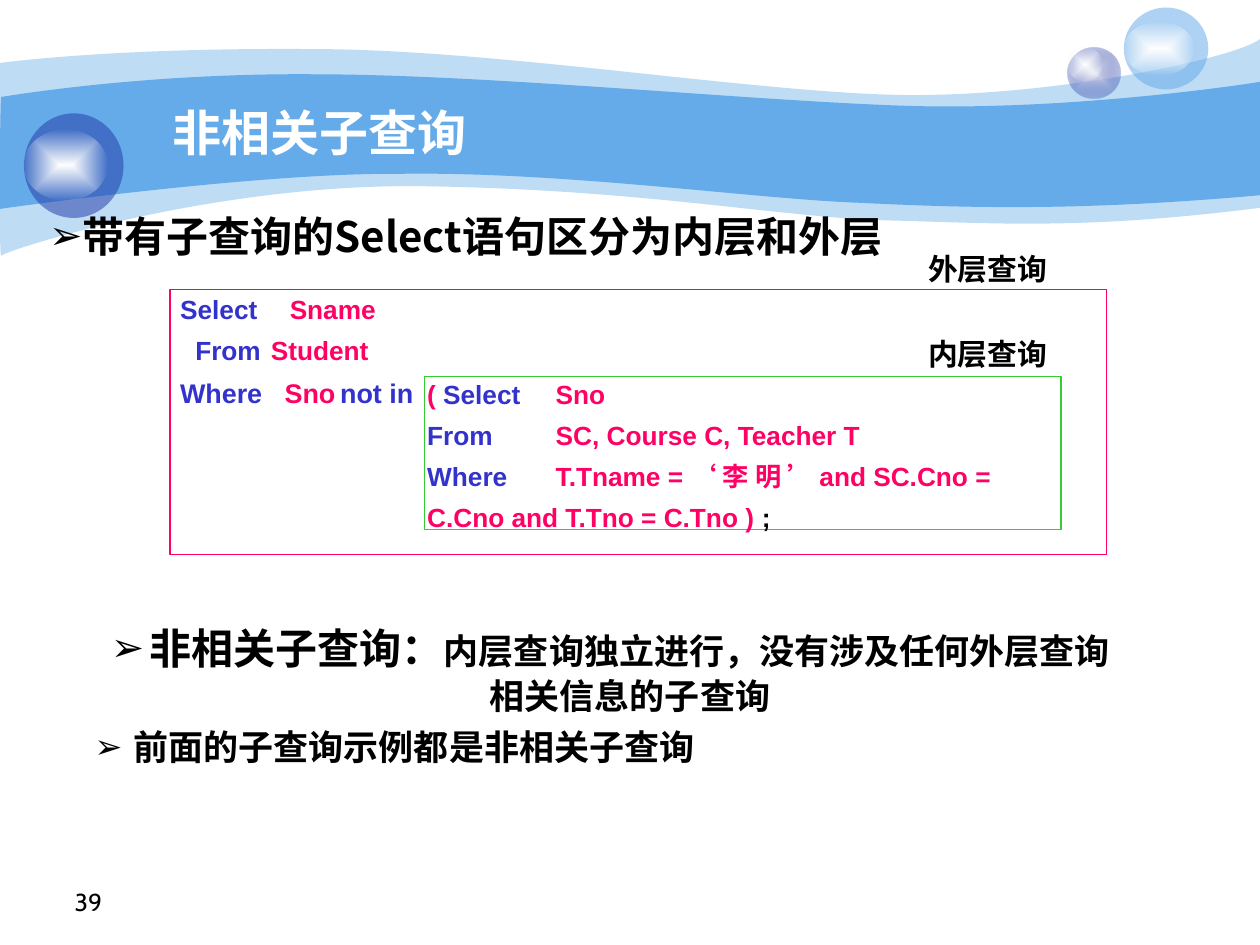
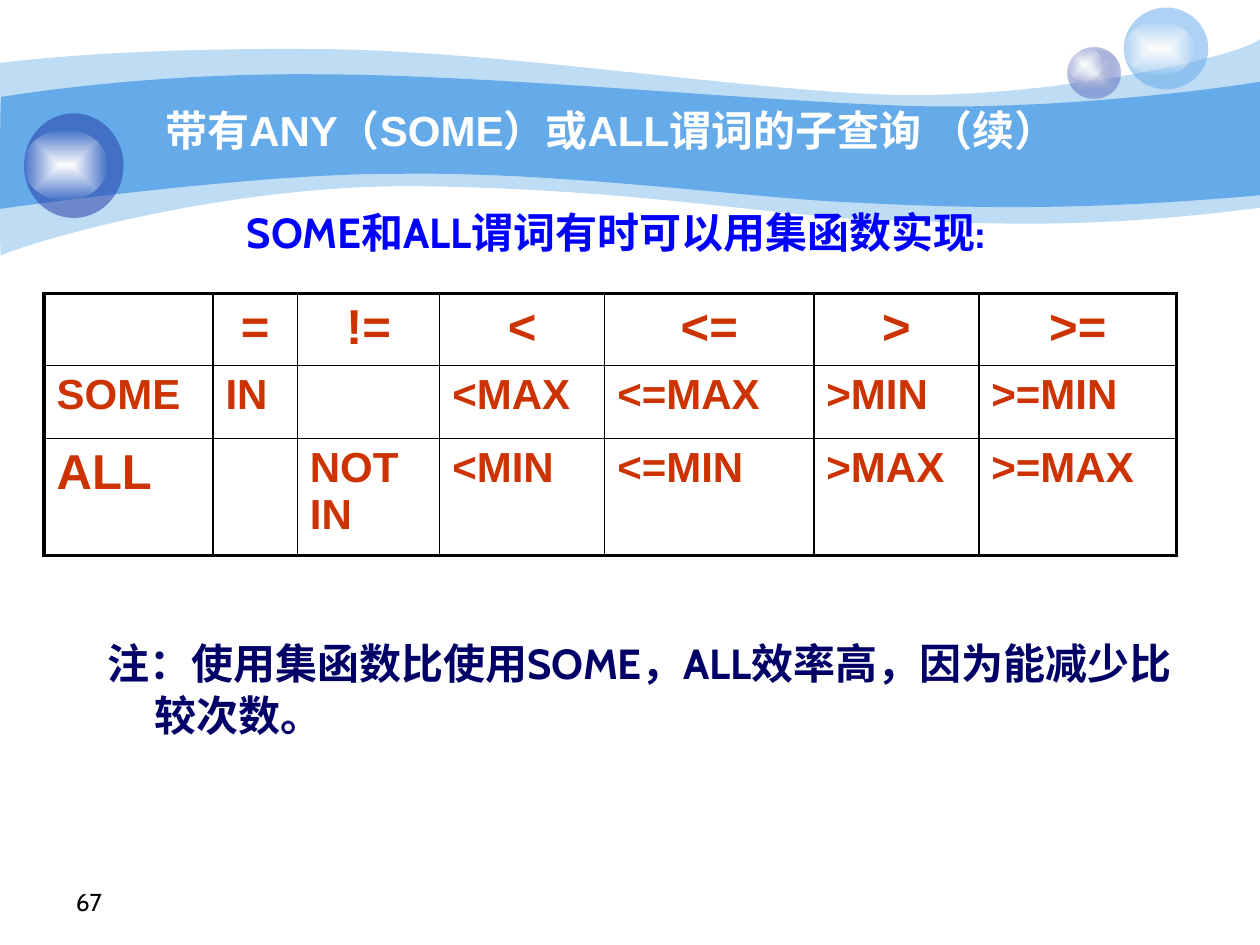
from lxml.etree import SubElement
from pptx import Presentation
from pptx.dml.color import RGBColor
from pptx.enum.shapes import MSO_SHAPE
from pptx.enum.text import MSO_ANCHOR, PP_ALIGN
from pptx.oxml.ns import qn
from pptx.util import Inches, Pt

BLACK = RGBColor(0x00, 0x00, 0x00)
WHITE = RGBColor(0xFF, 0xFF, 0xFF)
SKY = RGBColor(0x65, 0xAA, 0xE9)
INDIGO = RGBColor(0x23, 0x3D, 0xA9)
PALE = RGBColor(0xE1, 0xE2, 0xED)
KEYWORD = RGBColor(0x33, 0x33, 0xCC)
NAME = RGBColor(0xFF, 0x00, 0x65)
GREEN = RGBColor(0x33, 0xCC, 0x33)
BLUE = RGBColor(0x00, 0x00, 0xFF)
NAVY = RGBColor(0x00, 0x00, 0x66)
RUST = RGBColor(0xCC, 0x33, 0x00)

CHINESE = "Noto Sans CJK SC"
CODE = "Arial"
BODY = "Cabin"
LINE_PITCH = 1.23
CODE_PITCH = 23.4

WAVE_BACK = [[(0, 0.5)],
             [(0.24, 0.47), (1.07, 0.38), (2.47, 0.39)],
             [(3.86, 0.39), (5.75, 0.7), (6.99, 0.75)],
             [(8.22, 0.8), (9.8, 0.47), (10, 0.31)],
             [(10, 1.65)],
             [(8.58, 1.83), (7.87, 1.77), (7.05, 1.75)],
             [(6.22, 1.73), (5.15, 1.51), (3.43, 1.48)],
             [(1.72, 1.44), (0.04, 1.99), (0.01, 2.03)],
             [(-0.01, 2.08), (0, 0.75), (0, 0.5)]]
WAVE_FRONT = [[(0.01, 0.77)],
              [(0.02, 0.77), (1.1, 0.58), (2.48, 0.59)],
              [(3.86, 0.59), (5.95, 0.8), (7.18, 0.84)],
              [(8.41, 0.88), (9.76, 0.69), (10, 0.65)],
              [(10, 1.55)],
              [(8.53, 1.68), (7.65, 1.65), (6.82, 1.61)],
              [(5.99, 1.58), (4.47, 1.36), (3.17, 1.38)],
              [(2.03, 1.37), (-0.02, 1.66), (-0.01, 1.66)],
              [(0, 1.66), (0, 0.77), (0.01, 0.77)]]


def add_color(parent, color, opacity=100):
    """Append a colour with an opacity in percent."""
    element = SubElement(parent, qn("a:srgbClr"), val=str(color))
    SubElement(element, qn("a:alpha"), val=str(opacity * 1000))


def paint(shape, color, opacity=100):
    """Give a shape a plain fill without line or shadow."""
    shape.shadow.inherit = False
    shape.line.fill.background()
    shape.fill.solid()
    shape.fill.fore_color.rgb = color
    fill_color = shape._element.spPr.find(".//" + qn("a:srgbClr"))
    SubElement(fill_color, qn("a:alpha"), val=str(opacity * 1000))


def paint_glow(shape, inner, outer, outer_opacity):
    """Give a shape a gradient that spreads from its centre."""
    shape.shadow.inherit = False
    shape.line.fill.background()
    properties = shape._element.spPr
    gradient = SubElement(properties, qn("a:gradFill"), rotWithShape="1")
    properties.find(qn("a:prstGeom")).addnext(gradient)
    stops = SubElement(gradient, qn("a:gsLst"))
    for position, color, opacity in ((0, inner, 100), (100000, outer, outer_opacity)):
        add_color(SubElement(stops, qn("a:gs"), pos=str(position)), color, opacity)
    spread = SubElement(gradient, qn("a:path"), path="shape")
    SubElement(spread, qn("a:fillToRect"), l="50000", t="50000", r="50000", b="50000")


def add_wave(slide, segments, opacity):
    """Draw a closed outline; segments of three points are cubic curves."""
    start, *points = [(Inches(x), Inches(y)) for segment in segments for x, y in segment]
    builder = slide.shapes.build_freeform(*start)
    builder.add_line_segments(points, close=True)
    shape = builder.convert_to_shape()
    lines = iter(shape._element.spPr.findall(".//" + qn("a:lnTo")))
    for segment in segments[1:]:
        steps = [next(lines) for _ in segment]
        if len(steps) == 3:
            outline = steps[0].getparent()
            curve = SubElement(outline, qn("a:cubicBezTo"))
            steps[0].addprevious(curve)
            for step in steps:
                curve.append(step[0])
                outline.remove(step)
    paint(shape, SKY, opacity)


def add_shape(slide, kind, box):
    """Add a preset shape in a box of inches."""
    return slide.shapes.add_shape(kind, *(Inches(length) for length in box))


def add_bubble(slide, box, shine, color=None):
    """Draw a ball with a white shine inside its box."""
    ball = add_shape(slide, MSO_SHAPE.OVAL, box)
    if color is None:
        paint_glow(ball, PALE, INDIGO, 31)
    else:
        paint(ball, color, 53)
    left, top = box[:2]
    offset, width, height = shine
    spot = add_shape(slide, MSO_SHAPE.OVAL, (left, top + offset, width, height))
    paint_glow(spot, WHITE, WHITE, 0)


def add_text_box(slide, box):
    """Add a text box without insets and return its text frame."""
    frame = slide.shapes.add_textbox(*(Inches(length) for length in box)).text_frame
    clear_insets(frame)
    return frame


def clear_insets(frame):
    """Make text wrap and start at the top left of its box."""
    frame.word_wrap = True
    frame.vertical_anchor = MSO_ANCHOR.TOP
    frame.margin_left = frame.margin_right = 0
    frame.margin_top = frame.margin_bottom = 0


def add_run(paragraph, text, size, color, font, bold=True):
    """Append one run of text."""
    run = paragraph.add_run()
    run.text = text
    run.font.size = Pt(size)
    run.font.bold = bold
    run.font.color.rgb = color
    run.font.name = font
    SubElement(run._r.get_or_add_rPr(), qn("a:ea"), typeface=CHINESE)


def format_paragraph(paragraph, pitch=None, align=PP_ALIGN.LEFT, margin=0, bullet=False,
                     tabs=()):
    """Set pitch, alignment, hanging indent, bullet and tab stops."""
    paragraph.alignment = align
    if pitch:
        paragraph.line_spacing = Pt(pitch)
    properties = paragraph._p.get_or_add_pPr()
    if margin:
        properties.set("marL", str(Inches(margin)))
        properties.set("indent", str(-Inches(margin)))
    if bullet:
        SubElement(properties, qn("a:buSzPct"), val="95000")
        SubElement(properties, qn("a:buFont"), typeface=CODE)
        SubElement(properties, qn("a:buChar"), char="➢")
    if tabs:
        stops = SubElement(properties, qn("a:tabLst"))
        for stop in tabs:
            SubElement(stops, qn("a:tab"), pos=str(Inches(stop)), algn="l")


def add_line(slide, box, text, size, color, font=CHINESE, **layout):
    """Add a text box that holds one paragraph of one style."""
    paragraph = add_text_box(slide, box).paragraphs[0]
    format_paragraph(paragraph, size * LINE_PITCH, **layout)
    add_run(paragraph, text, size, color, font)


def add_base(presentation, number):
    """Add a blank slide with waves, bubbles and page number."""
    slide = presentation.slides.add_slide(presentation.slide_layouts[6])
    add_wave(slide, WAVE_BACK, 41)
    add_wave(slide, WAVE_FRONT, 100)
    add_bubble(slide, (8.47, 0.38, 0.42, 0.4), (0, 0.28, 0.27))
    add_bubble(slide, (8.92, 0.06, 0.67, 0.65), (0.11, 0.56, 0.43), SKY)
    add_bubble(slide, (0.19, 0.9, 0.79, 0.83), (0.13, 0.66, 0.56), INDIGO)
    paragraph = add_text_box(slide, (0.27, 7.04, 0.54, 0.24)).paragraphs[0]
    format_paragraph(paragraph, align=PP_ALIGN.RIGHT)
    add_run(paragraph, number, 14, BLACK, BODY, bold=False)
    return slide


def add_title(slide, box, text, size):
    """Write the white title on the wave."""
    add_line(slide, box, text, size, WHITE, CODE, align=PP_ALIGN.CENTER)


def add_frame(slide, box, color):
    """Draw a thin empty rectangle and return its text frame."""
    frame = add_shape(slide, MSO_SHAPE.RECTANGLE, box)
    frame.shadow.inherit = False
    frame.fill.background()
    frame.line.color.rgb = color
    frame.line.width = Pt(0.75)
    clear_insets(frame.text_frame)
    return frame.text_frame


def fill_code(frame, lines, size=15):
    """Write code lines given as pitch, tab stops and coloured runs."""
    for index, (pitch, tabs, runs) in enumerate(lines):
        paragraph = frame.add_paragraph() if index else frame.paragraphs[0]
        format_paragraph(paragraph, pitch, tabs=tabs)
        for text, color in runs:
            add_run(paragraph, text, size, color, CODE)


def add_query(slide, left, top):
    """Draw the outer query with the inner query framed inside it."""
    add_frame(slide, (left, top, 7.43, 2.1), NAME)
    fill_code(add_text_box(slide, (left + 0.08, top - 0.05, 1.9, 0.69)), [
        (CODE_PITCH, (0.87,), [("Select\t", KEYWORD), ("Sname", NAME)]),
        (CODE_PITCH, (0.12, 0.72), [("\tFrom\t", KEYWORD), ("Student", NAME)])])
    fill_code(add_text_box(slide, (left + 0.08, top + 0.69, 1.94, 0.27)), [
        (None, (0.83, 1.27), [("Where\t", KEYWORD), ("Sno\t", NAME), ("not in", KEYWORD)])],
        15.4)
    inner = add_frame(slide, (left + 2.02, top + 0.69, 5.05, 1.21), GREEN)
    inner.margin_left = Inches(0.02)
    tabs = (1.02,)
    fill_code(inner, [
        (18.9, tabs, [("( ", NAME), ("Select\t", KEYWORD), ("Sno", NAME)]),
        (CODE_PITCH, tabs, [("From\t", KEYWORD), ("SC, Course C, Teacher T", NAME)]),
        (CODE_PITCH, tabs, [
            ("Where\t", KEYWORD), ("T.Tname = ‘ ", NAME), ("李 明 ", NAME),
            ("’ and SC.Cno = C.Cno and T.Tno = C.Tno ) ", NAME), (";", BLACK)])])
    for label, offset in (("外层查询", -0.32), ("内层查询", 0.36)):
        add_line(slide, (left + 5.99, top + offset, 1, 0.3), label, 17, BLACK,
                 align=PP_ALIGN.CENTER)


def add_definition(slide, box):
    """Write the definition and its remark as two bullets."""
    frame = add_text_box(slide, box)
    definition, remark = frame.paragraphs[0], frame.add_paragraph()
    for paragraph, align in ((definition, PP_ALIGN.CENTER), (remark, PP_ALIGN.LEFT)):
        format_paragraph(paragraph, 20 * LINE_PITCH, align, 0.31, bullet=True)
    remark.space_before = Pt(5)
    add_run(definition, "非相关子查询：", 24, BLACK, CHINESE)
    add_run(definition, "内层查询独立进行，没有涉及任何外层查询相关信息的子查询", 20, BLACK, CHINESE)
    add_run(remark, "前面的子查询示例都是非相关子查询", 20, BLACK, CHINESE)


def set_borders(cell, widths):
    """Draw the black borders of a cell, given in points by side."""
    properties = cell._tc.get_or_add_tcPr()
    for side, width in widths.items():
        line = SubElement(properties, qn("a:ln" + side), w=str(Pt(width)))
        add_color(SubElement(line, qn("a:solidFill")), BLACK)


def add_predicate_table(slide, left, top):
    """Build the table of predicates and matching functions."""
    rows = [["", "=", "!=", "<", "<=", ">", ">="],
            ["SOME", "IN", "", "<MAX", "<=MAX", ">MIN", ">=MIN"],
            ["ALL", "", "NOT IN", "<MIN", "<=MIN", ">MAX", ">=MAX"]]
    widths = [1.34, 0.67, 1.13, 1.31, 1.66, 1.31, 1.57]
    heights = [0.57, 0.58, 0.93]
    table = slide.shapes.add_table(len(rows), len(widths), Inches(left), Inches(top),
                                   Inches(sum(widths)), Inches(sum(heights))).table
    table.first_row = table.horz_banding = False
    for column, width in zip(table.columns, widths):
        column.width = Inches(width)
    last_row, last_column = len(rows) - 1, len(widths) - 1
    for r, texts in enumerate(rows):
        table.rows[r].height = Inches(heights[r])
        for c, text in enumerate(texts):
            cell = table.cell(r, c)
            edges = {"L": c == 0, "R": c == last_column, "T": r == 0, "B": r == last_row}
            set_borders(cell, {side: 2.25 if edge else 1 for side, edge in edges.items()})
            cell.fill.background()
            if text:
                paragraph = cell.text_frame.paragraphs[0]
                paragraph.alignment = PP_ALIGN.LEFT if r else PP_ALIGN.CENTER
                add_run(paragraph, text, 28 if r == 0 or text == "ALL" else 24, RUST, CODE)


def build_subquery_slide(presentation):
    """Build the slide on uncorrelated subqueries."""
    slide = add_base(presentation, "39")
    add_title(slide, (0.59, 0.8, 3.89, 0.48), "非相关子查询", 28)
    add_line(slide, (0.39, 1.66, 6.95, 0.41), "带有子查询的Select语句区分为内层和外层", 24, BLACK,
             margin=0.26, bullet=True)
    add_query(slide, 1.35, 2.3)
    add_definition(slide, (0.75, 5, 8.19, 1.1))


def build_predicate_slide(presentation):
    """Build the slide on the ANY, SOME and ALL predicates."""
    slide = add_base(presentation, "67")
    add_title(slide, (0.6, 0.82, 8.5, 0.5), "带有ANY（SOME）或ALL谓词的子查询 （续）", 24)
    add_line(slide, (0.43, 1.63, 8.92, 0.41), "SOME和ALL谓词有时可以用集函数实现:", 24, BLUE, BODY,
             align=PP_ALIGN.CENTER)
    add_predicate_table(slide, 0.35, 2.33)
    add_line(slide, (0.85, 5.05, 8.53, 0.9),
             "注：使用集函数比使用SOME，ALL效率高，因为能减少比较次数。", 24, NAVY, BODY,
             margin=0.38)


def main():
    """Build both slides and save them."""
    presentation = Presentation()
    presentation.slide_width, presentation.slide_height = Inches(10), Inches(7.5)
    build_subquery_slide(presentation)
    build_predicate_slide(presentation)
    presentation.save("out.pptx")


if __name__ == "__main__":
    main()
